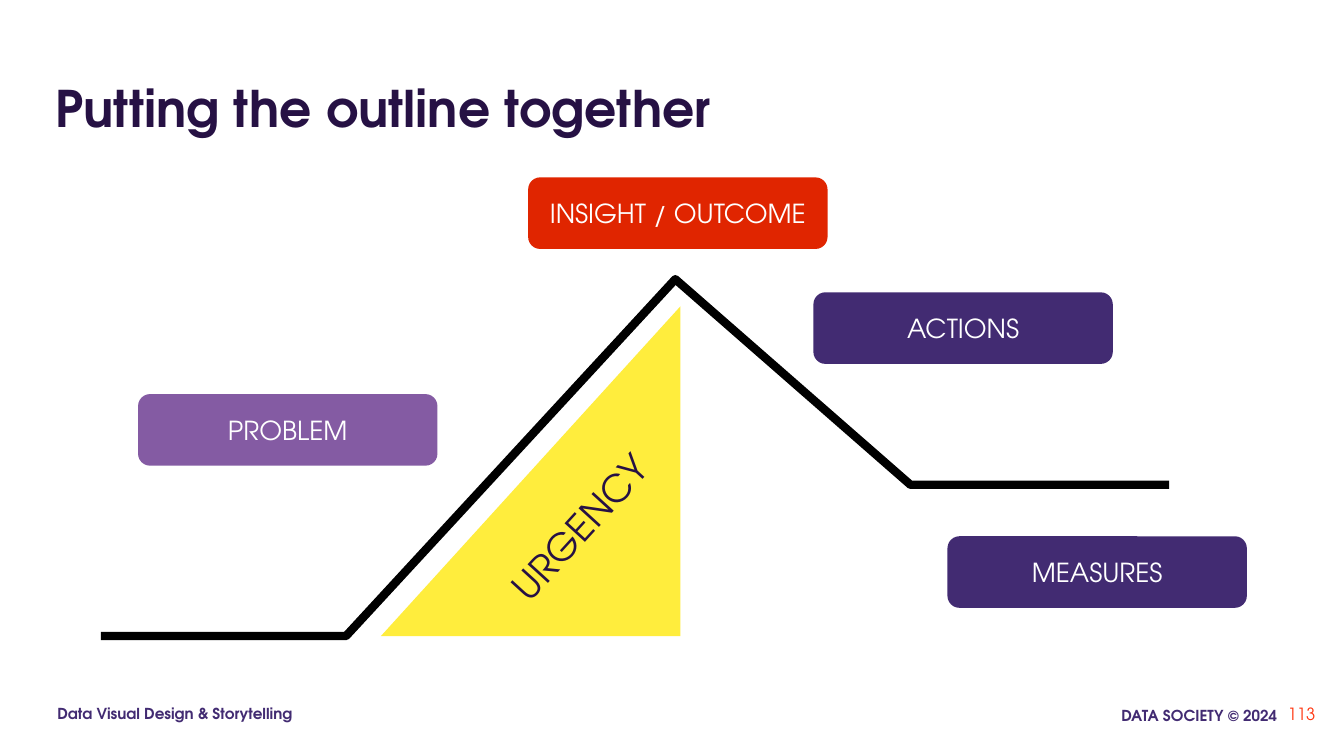
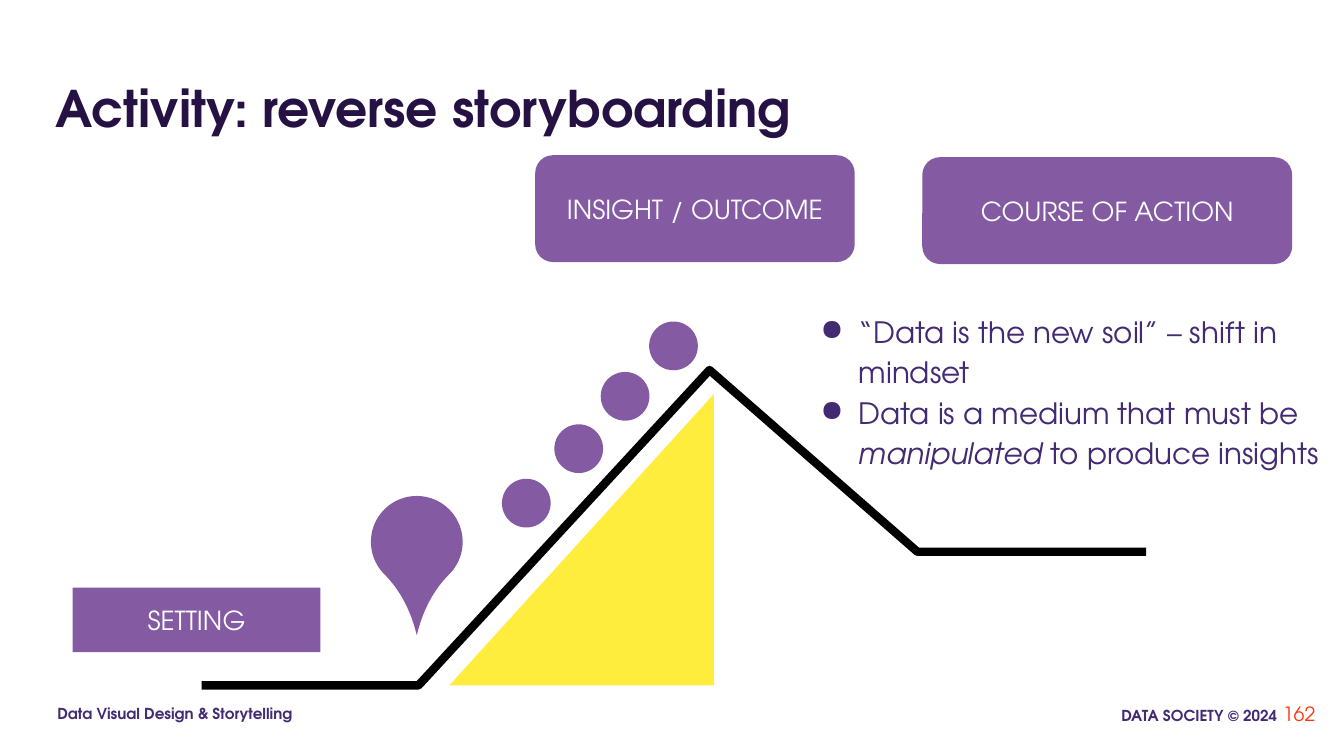
"""Build two storyboard slides that share a mountain-shaped story arc."""
from dataclasses import dataclass

from lxml.etree import SubElement
from pptx import Presentation
from pptx.dml.color import RGBColor
from pptx.enum.shapes import MSO_SHAPE as Preset
from pptx.enum.text import MSO_ANCHOR as Anchor, MSO_AUTO_SIZE as AutoSize, PP_ALIGN as Align
from pptx.oxml.ns import qn
from pptx.presentation import Presentation as Deck
from pptx.shapes.autoshape import Shape
from pptx.slide import Slide
from pptx.text.text import TextFrame, _Paragraph as Paragraph
from pptx.util import Emu, Inches, Pt

COLUMNS, ROWS = 80, 45
CELL = Inches(1 / 6)

FONT = "TeX Gyre Adventor"
WHITE = RGBColor(0xFF, 0xFF, 0xFF)
BLACK = RGBColor(0x00, 0x00, 0x00)
INK = RGBColor(0x26, 0x11, 0x44)
INDIGO = RGBColor(0x42, 0x2B, 0x72)
PURPLE = RGBColor(0x84, 0x5B, 0xA3)
RED = RGBColor(0xE0, 0x25, 0x00)
ORANGE = RGBColor(0xFF, 0x35, 0x0F)
YELLOW = RGBColor(0xFF, 0xED, 0x3D)

ARC = ((0, 0), (14.6, 0), (34.2, -21.24), (48.2, -9), (63.6, -9))
DOT_SIZE = 2.9


@dataclass(frozen=True)
class Area:
    """A rectangle in grid cells."""
    left: float
    top: float
    width: float
    height: float

    def emu(self) -> tuple[Emu, Emu, Emu, Emu]:
        return cells(self.left), cells(self.top), cells(self.width), cells(self.height)


@dataclass(frozen=True)
class Style:
    """The look of a run of text."""
    size: float
    color: RGBColor
    bold: bool = False


@dataclass(frozen=True)
class Label:
    """A filled box with a caption."""
    caption: str
    area: Area
    fill: RGBColor = PURPLE
    preset: Preset = Preset.ROUNDED_RECTANGLE


TITLE_AREA = Area(2.7, 3.48, 74.5, 5.04)
COURSE_AREA = Area(2.7, 41.22, 16.44, 2.52)
COPYRIGHT_AREA = Area(63.42, 41.34, 13.32, 2.52)
NUMBER_AREA = Area(74.1, 40.8, 4.8, 3.42)
URGENCY_AREA = Area(26.04, 26.46, 16.92, 9.78)
IDEAS_AREA = Area(47.52, 17.76, 32.5, 13.68)
PIN_AREA = Area(22.08, 29.52, 5.46, 5.46)

TITLE = Style(36, INK, True)
FOOTER = Style(10.8, INDIGO, True)
CAPTION = Style(18.7, WHITE)
URGENCY = Style(26.7, INK)
IDEA = Style(21, INDIGO)

OUTLINE_LABELS = (
    Label("INSIGHT / OUTCOME", Area(31.44, 10.56, 17.82, 4.26), RED),
    Label("ACTIONS", Area(48.42, 17.4, 17.82, 4.26), INDIGO),
    Label("MEASURES", Area(56.4, 31.92, 17.82, 4.26), INDIGO),
    Label("PROBLEM", Area(8.22, 23.46, 17.82, 4.26)),
)
ACTIVITY_LABELS = (
    Label("INSIGHT / OUTCOME", Area(31.86, 9.24, 19.02, 6.36)),
    Label("COURSE OF ACTION", Area(54.9, 9.36, 22.02, 6.36)),
    Label("SETTING", Area(4.32, 34.98, 14.76, 3.84), preset=Preset.RECTANGLE),
)
DOTS = ((29.88, 28.5), (33, 25.26), (35.76, 22.14), (38.64, 19.14))
IDEAS = (
    (("“Data is the new soil” – shift in mindset", False),),
    (("Data is a medium that must be ", False), ("manipulated", True), (" to produce insights", False)),
)


def cells(count: float) -> Emu:
    return Emu(round(count * CELL))


def add_run(paragraph: Paragraph, text: str, style: Style, italic: bool = False) -> None:
    run = paragraph.add_run()
    run.text = text
    font = run.font
    font.name, font.size = FONT, Pt(style.size)
    font.bold, font.italic = style.bold, italic
    font.color.rgb = style.color


def set_frame(frame: TextFrame, anchor: Anchor, inset_x: float, inset_y: float) -> None:
    frame.word_wrap = True
    frame.auto_size = AutoSize.NONE
    frame.vertical_anchor = anchor
    frame.margin_left = frame.margin_right = Inches(inset_x)
    frame.margin_top = frame.margin_bottom = Inches(inset_y)


def add_text(slide: Slide, area: Area, text: str, style: Style, align: Align,
             anchor: Anchor = Anchor.TOP, inset: float = 0.12) -> Shape:
    box = slide.shapes.add_textbox(*area.emu())
    set_frame(box.text_frame, anchor, inset, inset)
    paragraph = box.text_frame.paragraphs[0]
    paragraph.alignment = align
    add_run(paragraph, text, style)
    return box


def add_filled(slide: Slide, preset: Preset, area: Area, fill: RGBColor) -> Shape:
    shape = slide.shapes.add_shape(preset, *area.emu())
    shape.shadow.inherit = False
    shape.fill.solid()
    shape.fill.fore_color.rgb = fill
    shape.line.fill.background()
    return shape


def add_label(slide: Slide, label: Label) -> None:
    shape = add_filled(slide, label.preset, label.area, label.fill)
    set_frame(shape.text_frame, Anchor.MIDDLE, 0.13, 0.13)
    paragraph = shape.text_frame.paragraphs[0]
    paragraph.alignment = Align.CENTER
    add_run(paragraph, label.caption, CAPTION)


def add_mountain(slide: Slide, left: float, base: float, scale: float = 1) -> None:
    points = [(cells(left + x * scale), cells(base + y * scale)) for x, y in ARC]
    builder = slide.shapes.build_freeform(*points[0])
    builder.add_line_segments(points[1:], close=False)
    arc = builder.convert_to_shape()
    arc.shadow.inherit = False
    arc.fill.background()
    arc.line.color.rgb = BLACK
    arc.line.width = Pt(6)
    SubElement(arc.line._get_or_add_ln(), qn("a:round"))

    width, height = 17.82 * scale, 19.62 * scale
    area = Area(left + 16.68 * scale, base - height, width, height)
    triangle = add_filled(slide, Preset.RIGHT_TRIANGLE, area, YELLOW)
    triangle.element.spPr.get_or_add_xfrm().set("flipH", "1")


def add_ideas(slide: Slide) -> None:
    frame = slide.shapes.add_textbox(*IDEAS_AREA.emu()).text_frame
    set_frame(frame, Anchor.TOP, 0.1, 0.1)
    for index, idea in enumerate(IDEAS):
        paragraph = frame.add_paragraph() if index else frame.paragraphs[0]
        paragraph.line_spacing = 1.15
        properties = paragraph._p.get_or_add_pPr()
        properties.set("marL", str(Inches(0.5)))
        properties.set("indent", str(Inches(-0.38)))
        color = SubElement(properties, qn("a:buClr"))
        SubElement(color, qn("a:srgbClr"), val=str(INDIGO))
        SubElement(properties, qn("a:buChar"), char="●")
        for text, italic in idea:
            add_run(paragraph, text, IDEA, italic)


def add_slide(presentation: Deck, title: str, number: str, number_size: float) -> Slide:
    slide = presentation.slides.add_slide(presentation.slide_layouts.get_by_name("Title Only"))
    holder = slide.shapes.title
    holder.left, holder.top, holder.width, holder.height = TITLE_AREA.emu()
    set_frame(holder.text_frame, Anchor.BOTTOM, 0.1, 0.05)
    paragraph = holder.text_frame.paragraphs[0]
    paragraph.alignment = Align.LEFT
    add_run(paragraph, title, TITLE)
    add_text(slide, COPYRIGHT_AREA, "DATA SOCIETY © 2024", FOOTER, Align.RIGHT)
    add_text(slide, COURSE_AREA, "Data Visual Design & Storytelling", FOOTER, Align.LEFT)
    add_text(slide, NUMBER_AREA, number, Style(number_size, ORANGE), Align.RIGHT, Anchor.MIDDLE, 0.1)
    return slide


def build_outline(presentation: Deck) -> None:
    slide = add_slide(presentation, "Putting the outline together", "113", 12)
    add_mountain(slide, 6, 37.86)
    for label in OUTLINE_LABELS:
        add_label(slide, label)
    urgency = add_text(slide, URGENCY_AREA, "URGENCY", URGENCY, Align.CENTER, Anchor.MIDDLE)
    urgency.rotation = 312.3


def build_activity(presentation: Deck) -> None:
    slide = add_slide(presentation, "Activity: reverse storyboarding", "162", 14)
    add_ideas(slide)
    add_mountain(slide, 12, 40.8, 0.884)
    for label in ACTIVITY_LABELS:
        add_label(slide, label)
    pin = add_filled(slide, Preset.TEAR, PIN_AREA, PURPLE)
    pin.adjustments[0] = 1.44
    pin.rotation = 135
    for left, top in DOTS:
        add_filled(slide, Preset.OVAL, Area(left, top, DOT_SIZE, DOT_SIZE), PURPLE)


def main() -> None:
    presentation = Presentation()
    presentation.slide_width, presentation.slide_height = cells(COLUMNS), cells(ROWS)
    build_outline(presentation)
    build_activity(presentation)
    presentation.save("out.pptx")


if __name__ == "__main__":
    main()
